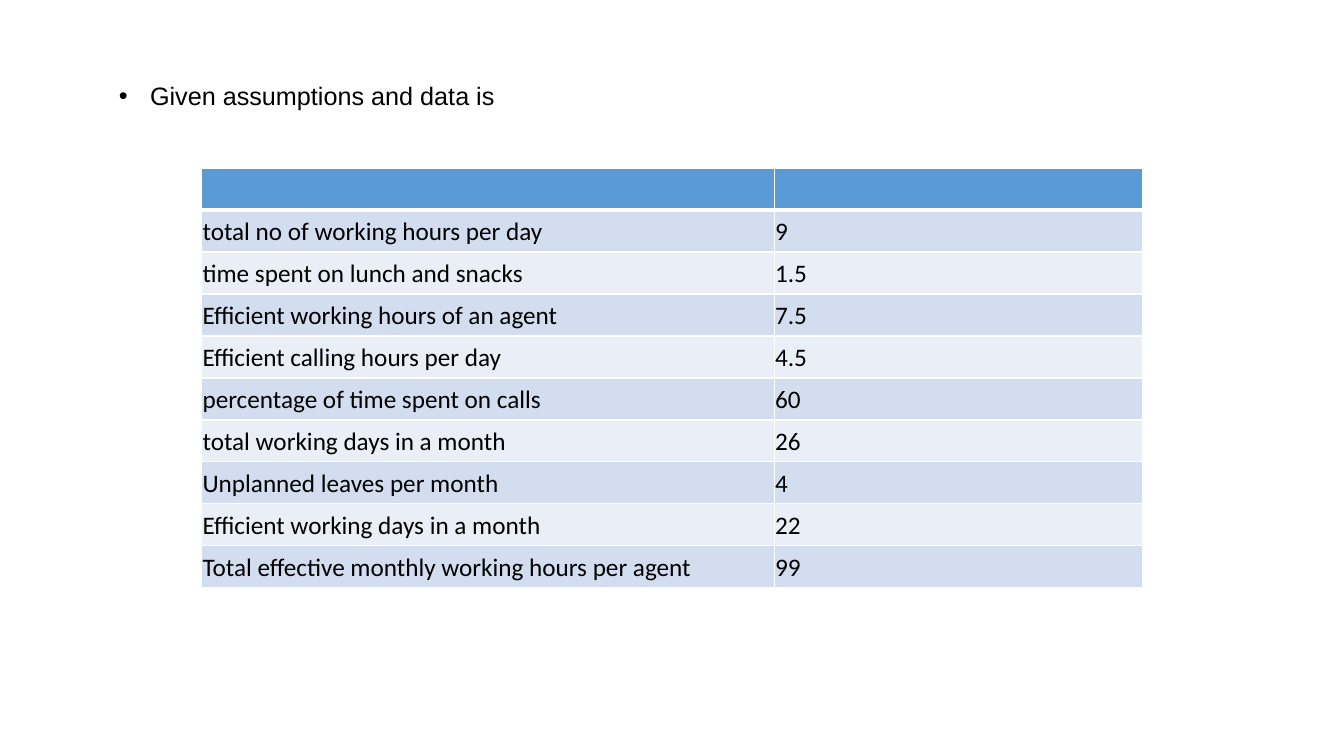
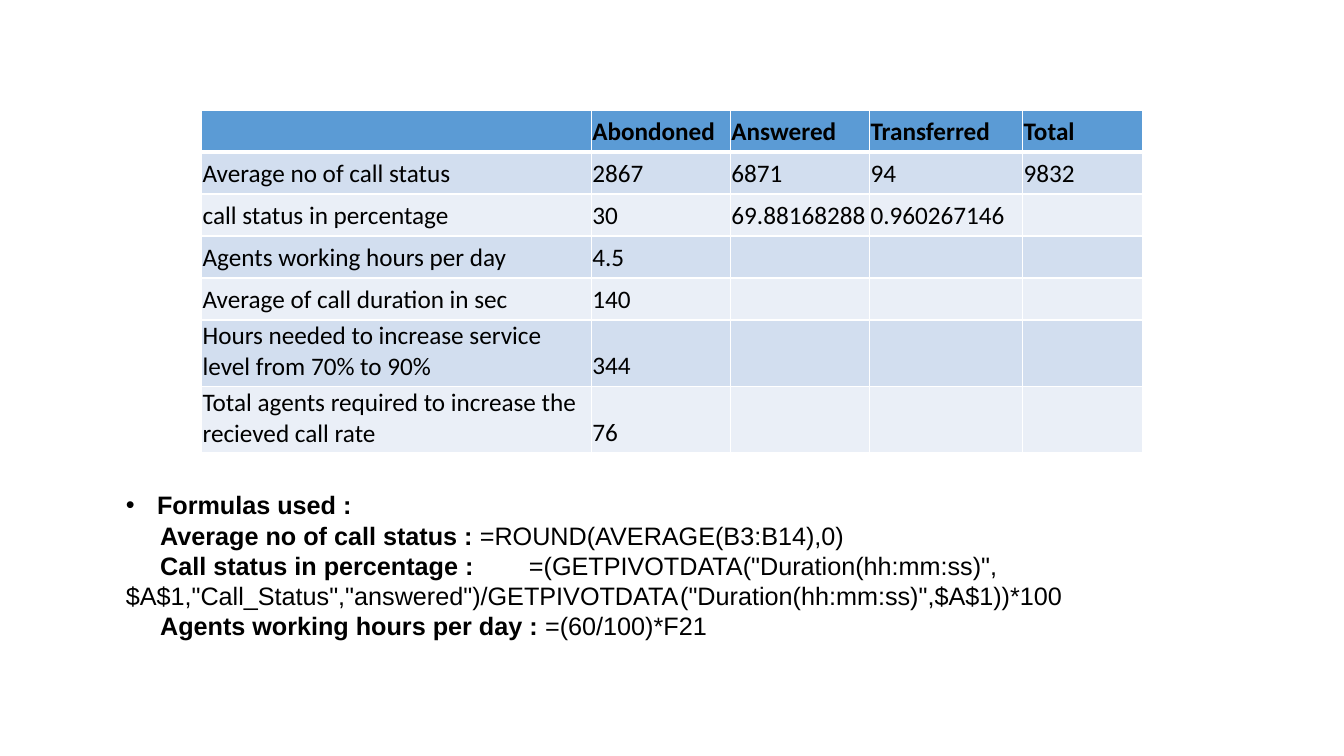
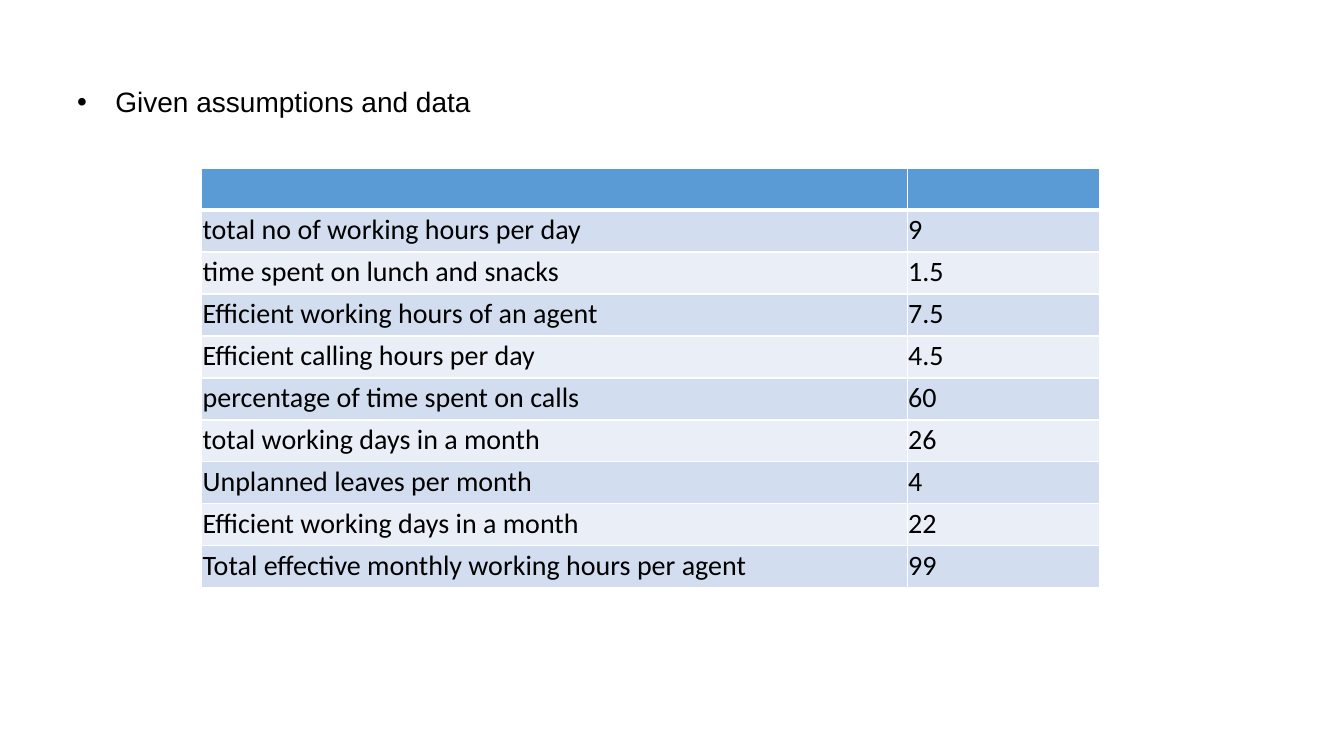
from dataclasses import dataclass

from lxml.etree import SubElement
from pptx import Presentation
from pptx.dml.color import RGBColor
from pptx.enum.text import MSO_ANCHOR as Anchor
from pptx.oxml.ns import qn
from pptx.util import Inches, Pt

# Shared look: a grid of 40 columns by 18 rows, colours and fonts
WIDTH, HEIGHT = Inches(40 / 3), Inches(7.5)
COLUMN, ROW = WIDTH / 40, HEIGHT / 18
COLORS = {
    "text": "000000",
    "header": "5B9BD5",
    "odd": "D2DEEF",
    "even": "EAEFF7",
    "rule": "FFFFFF",
}
TEXT_FONT, TABLE_FONT = "Arial", "Calibri"
THIN, THICK = 1, 3
TABLE_LEFT = 6


@dataclass
class Area:
    """A place on the grid, in columns and rows."""
    left: float
    top: float
    width: float
    height: float


@dataclass
class Line:
    """A paragraph with an optional bold label before the plain text."""
    text: str = ""
    label: str = ""
    bullet: bool = False
    indent: float = 0.31
    tabs: tuple[float, ...] = ()


@dataclass
class Grid:
    """A table: its top row, column widths, cell texts and text size."""
    top: float
    widths: tuple[float, ...]
    rows: list[tuple[str, ...]]
    size: int = 18


WORKING_HOURS = [
    ("", ""),
    ("total no of working hours per day", "9"),
    ("time spent on lunch and snacks", "1.5"),
    ("Efficient working hours of an agent", "7.5"),
    ("Efficient calling hours per day", "4.5"),
    ("percentage of time spent on calls", "60"),
    ("total working days in a month", "26"),
    ("Unplanned leaves per month", "4"),
    ("Efficient working days in a month", "22"),
    ("Total effective monthly working hours per agent", "99"),
]
CALL_STATUS = [
    ("", "Abondoned", "Answered", "Transferred", "Total"),
    ("Average no of call status", "2867", "6871", "94", "9832"),
    ("call status in percentage", "30", "69.88168288", "0.960267146"),
    ("Agents working hours per day", "4.5"),
    ("Average of call duration in sec", "140"),
    ("Hours needed to increase service level from 70% to 90%", "344"),
    ("Total agents required to increase the recieved call rate", "76"),
]
FORMULAS = [
    Line(label="Formulas used :", bullet=True),
    Line("=ROUND(AVERAGE(B3:B14),0)", "Average no of call status : ", indent=0.34),
    Line('\t=(GETPIVOTDATA("Duration(hh:mm:ss)",$A$1,"Call_Status","answered")'
         '/GETPIVOTDATA\t("Duration(hh:mm:ss)",$A$1))*100',
         "Call status in percentage : ", indent=0.34, tabs=(5, 6)),
    Line(" =(60/100)*F21", "Agents working hours per day :", indent=0.34),
]


def color(name: str) -> RGBColor:
    return RGBColor.from_string(COLORS[name])


def add_span(para, text: str, *, size: int = 18, font: str = TEXT_FONT,
             bold: bool = False) -> None:
    span = para.add_run()
    span.text = text
    span.font.size, span.font.name, span.font.bold = Pt(size), font, bold
    span.font.color.rgb = color("text")


def format_line(para, line: Line) -> None:
    """Set the indent, tab stops and bullet of a paragraph."""
    properties = para._p.get_or_add_pPr()
    indent = Inches(line.indent)
    properties.set("marL", str(indent if line.bullet else 0))
    properties.set("indent", str(-indent if line.bullet else indent))
    if line.bullet:
        SubElement(properties, qn("a:buFont"), typeface="Arial")
        SubElement(properties, qn("a:buChar"), char="•")
    if line.tabs:
        stops = SubElement(properties, qn("a:tabLst"))
        for stop in line.tabs:
            SubElement(stops, qn("a:tab"), pos=str(Inches(stop)), algn="l")


def add_text(page, area: Area, lines: list[Line], size: int = 18) -> None:
    box = page.shapes.add_textbox(
        round(area.left * COLUMN), round(area.top * ROW),
        round(area.width * COLUMN), round(area.height * ROW))
    frame = box.text_frame
    frame.word_wrap = True
    for index, line in enumerate(lines):
        para = frame.add_paragraph() if index else frame.paragraphs[0]
        format_line(para, line)
        if line.label:
            add_span(para, line.label, size=size, bold=True)
        if line.text:
            add_span(para, line.text, size=size)


def set_borders(cell, top: int, bottom: int) -> None:
    properties = cell._tc.get_or_add_tcPr()
    sides = {"lnL": THIN, "lnR": THIN, "lnT": top, "lnB": bottom}
    for side, width in sides.items():
        border = SubElement(properties, qn(f"a:{side}"), w=str(Pt(width)))
        fill = SubElement(border, qn("a:solidFill"))
        SubElement(fill, qn("a:srgbClr"), val=COLORS["rule"])


def add_grid(page, grid: Grid) -> None:
    frame = page.shapes.add_table(
        len(grid.rows), len(grid.widths),
        round(TABLE_LEFT * COLUMN), round(grid.top * ROW),
        round(sum(grid.widths) * COLUMN), round(len(grid.rows) * ROW))
    table = frame.table
    for column, width in zip(table.columns, grid.widths):
        column.width = round(width * COLUMN)
    for index, texts in enumerate(grid.rows):
        header = index == 0
        shade = "header" if header else "odd" if index % 2 else "even"
        for position, cell in enumerate(table.rows[index].cells):
            # Borders come before the fill in the cell's properties
            set_borders(cell, THICK if index == 1 else THIN,
                        THICK if header else THIN)
            cell.fill.solid()
            cell.fill.fore_color.rgb = color(shade)
            cell.vertical_anchor = Anchor.BOTTOM
            cell.margin_left = cell.margin_right = cell.margin_top = Inches(0.01)
            cell.margin_bottom = Inches(0.05)
            if position < len(texts) and texts[position]:
                add_span(cell.text_frame.paragraphs[0], texts[position],
                         size=grid.size, font=TABLE_FONT, bold=header)


def add_page(deck):
    return deck.slides.add_slide(deck.slide_layouts[6])


def main() -> None:
    deck = Presentation()
    deck.slide_width, deck.slide_height = WIDTH, HEIGHT

    # Assumptions
    page = add_page(deck)
    add_text(page, Area(3.24, 1.8, 18.36, 0.96),
             [Line("Given assumptions and data is", bullet=True)])
    add_grid(page, Grid(4, (17.04, 10.96), WORKING_HOURS))

    # Call status and formulas
    page = add_page(deck)
    add_grid(page, Grid(2.62, (11.6, 4.14, 4.14, 4.56, 3.56), CALL_STATUS))
    add_text(page, Area(3.45, 11.54, 34.08, 4.61), FORMULAS)

    # Assumptions in larger text
    page = add_page(deck)
    add_text(page, Area(2, 1.9, 36, 14.18),
             [Line("Given assumptions and data", bullet=True, indent=0.38)], size=20)
    add_grid(page, Grid(4, (21, 5.73), WORKING_HOURS, size=20))

    deck.save("out.pptx")


if __name__ == "__main__":
    main()
